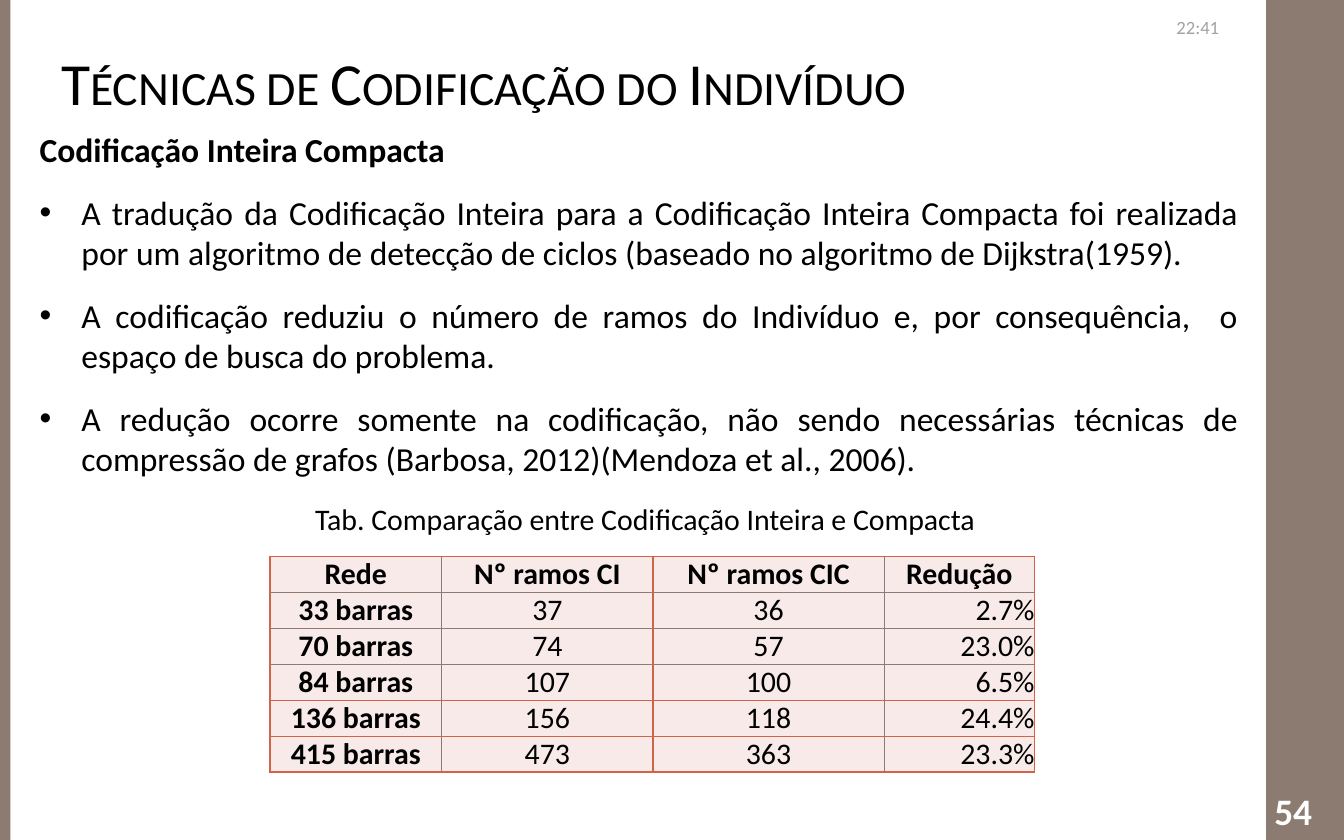
from dataclasses import dataclass

from lxml import etree
from pptx import Presentation
from pptx.dml.color import RGBColor
from pptx.enum.shapes import MSO_SHAPE
from pptx.enum.text import MSO_ANCHOR, MSO_AUTO_SIZE, PP_ALIGN
from pptx.oxml.ns import qn
from pptx.util import Cm, Pt

RECTANGLE = MSO_SHAPE.RECTANGLE
MIDDLE, BOTTOM = MSO_ANCHOR.MIDDLE, MSO_ANCHOR.BOTTOM
LEFT, CENTER, RIGHT, JUSTIFY = PP_ALIGN.LEFT, PP_ALIGN.CENTER, PP_ALIGN.RIGHT, PP_ALIGN.JUSTIFY
NO_AUTOFIT = MSO_AUTO_SIZE.NONE
TITLE_ONLY = 5


@dataclass(frozen=True)
class Theme:
    font: str = "Calibri"
    ink: str = "000000"
    paper: str = "FFFFFF"
    band: str = "8C7B70"
    clock: str = "A2A2A2"
    cell: str = "F7EAE9"
    rule: str = "D16349"
    title_size: int = 32
    number_size: int = 20
    body_size: int = 18
    table_size: int = 16
    clock_size: int = 10


@dataclass(frozen=True)
class Box:
    left: float
    top: float
    width: float
    height: float

    def lengths(self) -> tuple:
        return Cm(self.left), Cm(self.top), Cm(self.width), Cm(self.height)


@dataclass(frozen=True)
class Label:
    text: str
    box: Box
    size: int
    color: str
    align: PP_ALIGN
    bold: bool = False
    wrap: bool = True


@dataclass(frozen=True)
class Rule:
    color: str
    width: float


THEME = Theme()
STRONG = Rule(THEME.rule, 1)
FAINT = Rule(THEME.band, 0.5)

TITLE = "Técnicas de Codificação do Indivíduo"
TITLE_BOX = Box(0.9, 0.85, 22.4, 1.4)
BODY_BOX = Box(0.5, 2.31, 23.16, 6.93)
BANDS = (Box(23.93, 0, 1.47, 15.88), Box(0, 0, 0.2, 15.88))
HEADING = "Codificação Inteira Compacta"
POINTS = (
    "A tradução da Codificação Inteira para a Codificação Inteira Compacta foi realizada "
    "por um algoritmo de detecção de ciclos (baseado no algoritmo de Dijkstra(1959).",
    "A codificação reduziu o número de ramos do Indivíduo e, por consequência,  o "
    "espaço de busca do problema.",
    "A redução ocorre somente na codificação, não sendo necessárias técnicas de "
    "compressão de grafos (Barbosa, 2012)(Mendoza et al., 2006).",
)
LABELS = (
    Label("54", Box(23.65, 14.78, 1.4, 0.76), THEME.number_size, THEME.paper, RIGHT, bold=True),
    Label("22:41", Box(19.48, 0.18, 3.81, 0.53), THEME.clock_size, THEME.clock, RIGHT),
    Label("Tab. Comparação entre Codificação Inteira e Compacta",
          Box(5.49, 9.35, 13.41, 0.94), THEME.table_size, THEME.ink, CENTER, wrap=False),
)
TABLE_LEFT, TABLE_TOP, ROW_HEIGHT = 5.1, 10.52, 0.68
COLUMN_WIDTHS = (3.25, 3.99, 4.37, 2.84)
ROWS = (
    ("Rede", "Nº ramos CI", "Nº ramos CIC", "Redução"),
    ("33 barras", "37", "36", "2.7%"),
    ("70 barras", "74", "57", "23.0%"),
    ("84 barras", "107", "100", "6.5%"),
    ("136 barras", "156", "118", "24.4%"),
    ("415 barras", "473", "363", "23.3%"),
)
STRONG_COLUMN_EDGES = {0, 2, 4}
STRONG_ROW_EDGES = {0, 4, 5, 6}


def add_run(paragraph, text: str, size: int, color: str, bold: bool = False):
    run = paragraph.add_run()
    run.text = text
    run.font.name = THEME.font
    run.font.size = Pt(size)
    run.font.bold = bold
    run.font.color.rgb = RGBColor.from_string(color)
    return run


def add_band(slide, box: Box) -> None:
    shape = slide.shapes.add_shape(RECTANGLE, *box.lengths())
    shape.shadow.inherit = False
    shape.fill.solid()
    shape.fill.fore_color.rgb = RGBColor.from_string(THEME.band)
    shape.line.fill.background()


def format_title(slide) -> None:
    title = slide.shapes.title
    title.left, title.top, title.width, title.height = TITLE_BOX.lengths()
    frame = title.text_frame
    frame.auto_size = NO_AUTOFIT
    frame.vertical_anchor = MIDDLE
    frame.margin_top = frame.margin_bottom = 0
    paragraph = frame.paragraphs[0]
    paragraph.alignment = LEFT
    run = add_run(paragraph, TITLE, THEME.title_size, THEME.ink)
    run.font._element.set("cap", "small")


def add_label(slide, label: Label) -> None:
    frame = slide.shapes.add_textbox(*label.box.lengths()).text_frame
    frame.word_wrap = label.wrap
    paragraph = frame.paragraphs[0]
    paragraph.alignment = label.align
    add_run(paragraph, label.text, label.size, label.color, label.bold)


def add_bullet(paragraph) -> None:
    properties = paragraph._p.get_or_add_pPr()
    properties.set("marL", str(Cm(0.79)))
    properties.set("indent", str(-Cm(0.79)))
    etree.SubElement(properties, qn("a:buFont"), typeface="Arial")
    etree.SubElement(properties, qn("a:buChar"), char="•")


def add_body(slide) -> None:
    frame = slide.shapes.add_textbox(*BODY_BOX.lengths()).text_frame
    frame.word_wrap = True
    heading = frame.paragraphs[0]
    heading.alignment = JUSTIFY
    heading.space_after = Pt(6)
    add_run(heading, HEADING, THEME.body_size, THEME.ink, bold=True)
    for point in POINTS:
        paragraph = frame.add_paragraph()
        paragraph.alignment = JUSTIFY
        paragraph.space_before = paragraph.space_after = Pt(6)
        add_bullet(paragraph)
        add_run(paragraph, point, THEME.body_size, THEME.ink)


def set_borders(cell, row: int, column: int) -> None:
    edges = (
        ("a:lnL", column in STRONG_COLUMN_EDGES),
        ("a:lnR", column + 1 in STRONG_COLUMN_EDGES),
        ("a:lnT", row in STRONG_ROW_EDGES),
        ("a:lnB", row + 1 in STRONG_ROW_EDGES),
    )
    properties = cell._tc.get_or_add_tcPr()
    for position, (tag, strong) in enumerate(edges):
        rule = STRONG if strong else FAINT
        line = etree.Element(qn(tag), w=str(Pt(rule.width)))
        fill = etree.SubElement(line, qn("a:solidFill"))
        etree.SubElement(fill, qn("a:srgbClr"), val=rule.color)
        properties.insert(position, line)


def fill_cell(cell, text: str, row: int, column: int) -> None:
    is_header, is_name = row == 0, column == 0
    cell.fill.solid()
    cell.fill.fore_color.rgb = RGBColor.from_string(THEME.cell)
    cell.margin_left = cell.margin_right = cell.margin_top = cell.margin_bottom = 0
    cell.vertical_anchor = MIDDLE if is_name and not is_header else BOTTOM
    paragraph = cell.text_frame.paragraphs[0]
    paragraph.alignment = RIGHT if column == 3 and not is_header else CENTER
    add_run(paragraph, text, THEME.table_size, THEME.ink, is_header or is_name)
    set_borders(cell, row, column)


def add_comparison_table(slide) -> None:
    box = Box(TABLE_LEFT, TABLE_TOP, sum(COLUMN_WIDTHS), ROW_HEIGHT * len(ROWS))
    table = slide.shapes.add_table(len(ROWS), len(COLUMN_WIDTHS), *box.lengths()).table
    for column, width in zip(table.columns, COLUMN_WIDTHS):
        column.width = Cm(width)
    for row, texts in enumerate(ROWS):
        table.rows[row].height = Cm(ROW_HEIGHT)
        for column, text in enumerate(texts):
            fill_cell(table.cell(row, column), text, row, column)


def main() -> None:
    presentation = Presentation()
    presentation.slide_width, presentation.slide_height = Cm(25.4), Cm(15.88)
    slide = presentation.slides.add_slide(presentation.slide_layouts[TITLE_ONLY])
    for band in BANDS:
        add_band(slide, band)
    format_title(slide)
    add_body(slide)
    add_comparison_table(slide)
    for label in LABELS:
        add_label(slide, label)
    presentation.save("out.pptx")


if __name__ == "__main__":
    main()
